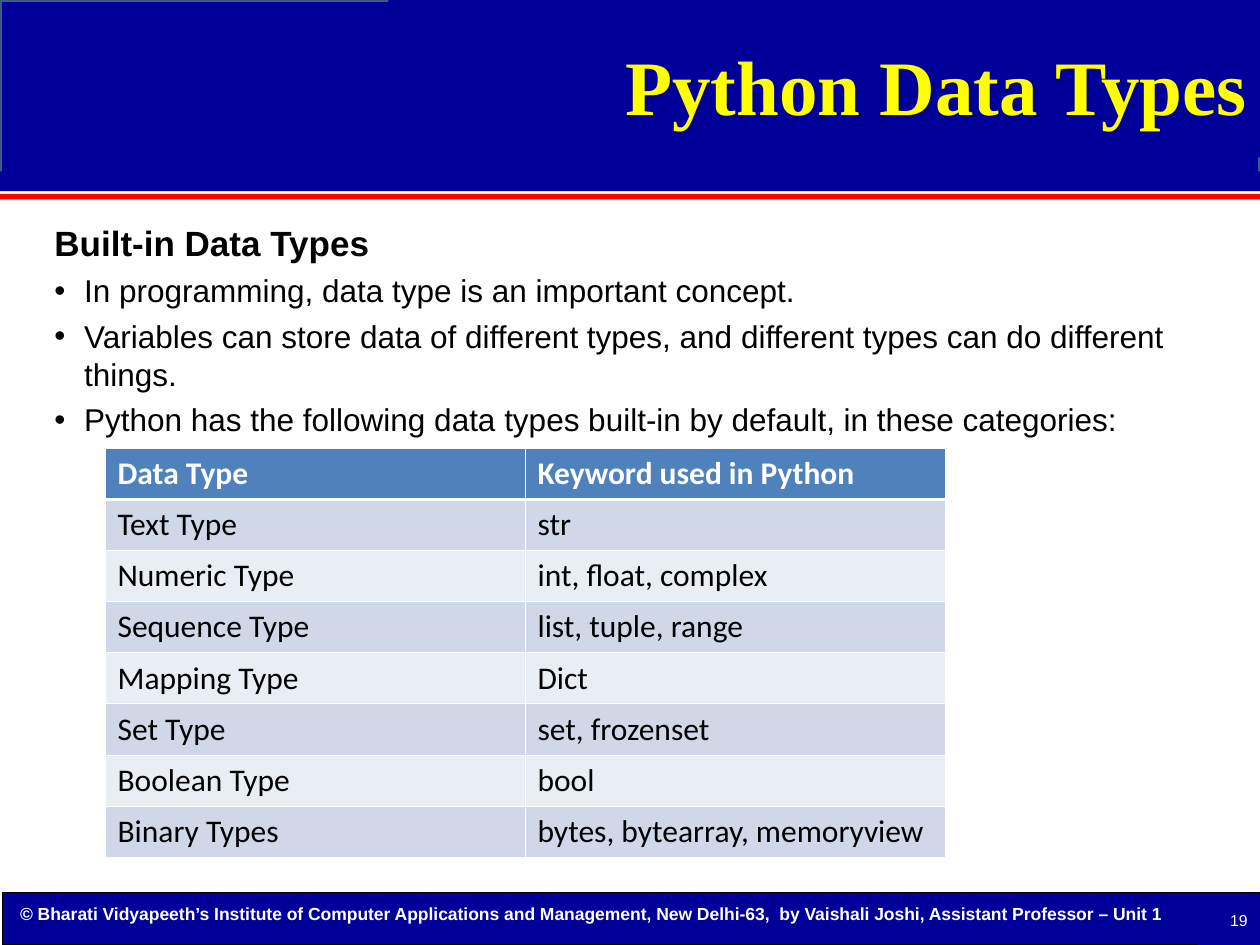
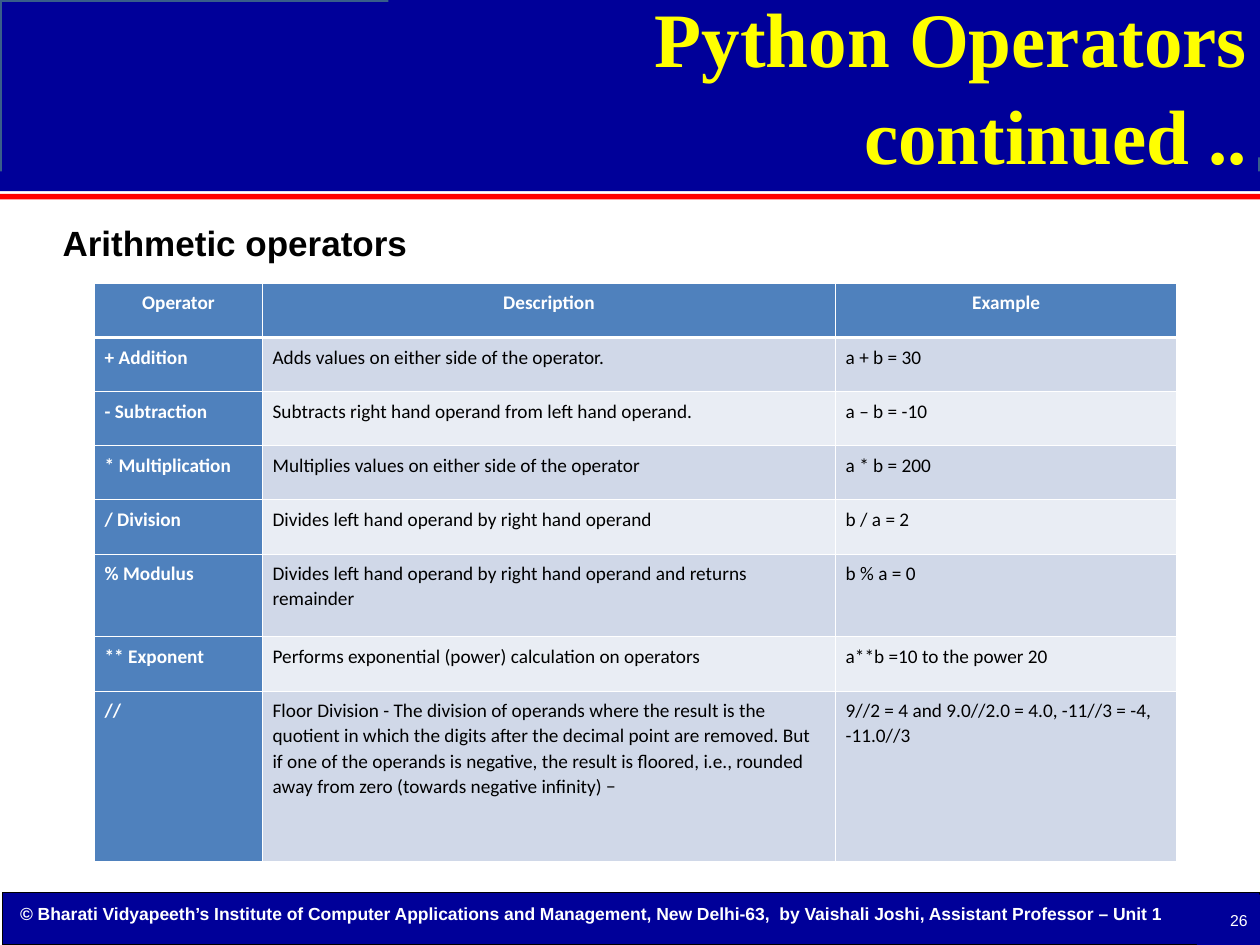
from pptx import Presentation
from pptx.dml.color import RGBColor
from pptx.enum.shapes import MSO_SHAPE
from pptx.enum.text import MSO_ANCHOR, PP_ALIGN
from pptx.oxml.ns import qn
from pptx.util import Pt
from lxml.etree import SubElement

NAVY, RED, YELLOW = "000099", "FF0000", "FFFF00"
WHITE, BLACK, EDGE = "FFFFFF", "000000", "385D8A"
HEAD, BANDS = "4F81BD", ("D0D8E8", "E9EDF4")
CREDIT = ("© Bharati Vidyapeeth’s Institute of Computer Applications and Management, "
          "New Delhi-63,  by Vaishali Joshi, Assistant Professor – Unit 1")

TYPES = [
    ("Data Type", "Keyword used in Python"),
    ("Text Type", "str"),
    ("Numeric Type", "int, float, complex"),
    ("Sequence Type", "list, tuple, range"),
    ("Mapping Type", "Dict"),
    ("Set Type", "set, frozenset"),
    ("Boolean Type", "bool"),
    ("Binary Types", "bytes, bytearray, memoryview"),
]
MATHS = [
    ("Operator", "Description", "Example"),
    ("+ Addition", "Adds values on either side of the operator.", "a + b = 30"),
    ("- Subtraction", "Subtracts right hand operand from left hand operand.", "a – b = -10"),
    ("* Multiplication", "Multiplies values on either side of the operator", "a * b = 200"),
    ("/ Division", "Divides left hand operand by right hand operand", "b / a = 2"),
    ("% Modulus", "Divides left hand operand by right hand operand and returns remainder",
     "b % a = 0"),
    ("** Exponent", "Performs exponential (power) calculation on operators",
     "a**b =10 to the power 20"),
    ("//", "Floor Division - The division of operands where the result is the quotient in "
     "which the digits after the decimal point are removed. But if one of the operands is "
     "negative, the result is floored, i.e., rounded away from zero (towards negative "
     "infinity) −", "9//2 = 4 and 9.0//2.0 = 4.0, -11//3 = -4, -11.0//3"),
]


def tint(code):
    return RGBColor.from_string(code)


class Deck:
    def __init__(self):
        self.prs = Presentation()
        self.prs.slide_width, self.prs.slide_height = Pt(720), Pt(540)
        self.slide = None

    def page(self, title, number):
        self.slide = self.prs.slides.add_slide(self.prs.slide_layouts[6])
        self.rect(1.3, 510, 718.7, 30, NAVY, BLACK, 0.75)
        foot = self.box(0, 511.9, 678, 19.5, MSO_ANCHOR.BOTTOM, left=11.5)
        self.style(foot.paragraphs[0], CREDIT, 10, WHITE, True)
        self.rect(0, 0, 720, 102, NAVY, EDGE, 2)
        self.rect(0, 98, 720, 11.3, NAVY)
        self.rect(0, 110.8, 720, 3.2, RED)
        self.label(222, 0, 498, 90, title, 44, YELLOW, True, "Times New Roman", 1.05, 8)
        self.label(684, 511.2, 36, 28.8, number, 9, WHITE)

    def rect(self, x, y, w, h, fill, edge=None, width=0):
        shape = self.slide.shapes.add_shape(MSO_SHAPE.RECTANGLE, Pt(x), Pt(y), Pt(w), Pt(h))
        shape.shadow.inherit = False
        shape.fill.solid()
        shape.fill.fore_color.rgb = tint(fill)
        if edge:
            shape.line.color.rgb = tint(edge)
            shape.line.width = Pt(width)
        else:
            shape.line.fill.background()
        return shape

    def label(self, x, y, w, h, text, size, color, bold=False, face="Arial", gap=1, top=3.6):
        frame = self.rect(x, y, w, h, NAVY).text_frame
        frame.word_wrap = True
        frame.vertical_anchor = MSO_ANCHOR.MIDDLE
        frame.margin_top = Pt(top)
        para = frame.paragraphs[0]
        self.style(para, text, size, color, bold, face)
        para.alignment = PP_ALIGN.RIGHT
        para.line_spacing = gap

    def box(self, x, y, w, h, anchor=MSO_ANCHOR.TOP, left=7.2, top=3.6):
        frame = self.slide.shapes.add_textbox(Pt(x), Pt(y), Pt(w), Pt(h)).text_frame
        frame.word_wrap = True
        frame.vertical_anchor = anchor
        frame.margin_left, frame.margin_top = Pt(left), Pt(top)
        return frame

    def style(self, para, text, size, color, bold=False, face="Arial"):
        para.text = text
        for run in para.runs:
            font = run.font
            font.size, font.bold, font.name = Pt(size), bold, face
            font.color.rgb = tint(color)

    def body(self, head, points=(), left=7.2):
        frame = self.box(24, 120, 672, 372, left=left, top=6.5)
        self.style(frame.paragraphs[0], head, 20, BLACK, True)
        for point in points:
            para = frame.add_paragraph()
            props = para._p.get_or_add_pPr()
            props.set("marL", str(Pt(17)))
            props.set("indent", str(-Pt(17)))
            SubElement(props, qn("a:buFont"), typeface="Arial")
            SubElement(props, qn("a:buChar"), char="•")
            para.space_before = Pt(4.5)
            self.style(para, point, 18, BLACK)

    def border(self, cell, row):
        props = cell._tc.get_or_add_tcPr()
        thick = {0: "lnB", 1: "lnT"}.get(row)
        for side in ("lnL", "lnR", "lnT", "lnB"):
            width = Pt(1.47 if side == thick else 0.45)
            line = SubElement(props, qn(f"a:{side}"), w=str(width))
            SubElement(SubElement(line, qn("a:solidFill")), qn("a:srgbClr"), val=WHITE)

    def table(self, x, y, cols, rows, data, size, pad, side=False, gap=1, align=PP_ALIGN.LEFT):
        grid = self.slide.shapes.add_table(len(rows), len(cols), Pt(x), Pt(y),
                                           Pt(sum(cols)), Pt(sum(rows))).table
        grid.first_row = grid.horz_banding = False
        for col, width in zip(grid.columns, cols):
            col.width = Pt(width)
        for r, (height, texts) in enumerate(zip(rows, data)):
            grid.rows[r].height = Pt(height)
            for c, text in enumerate(texts):
                cell = grid.cell(r, c)
                head = r == 0 or (side and c == 0)
                self.border(cell, r)
                cell.fill.solid()
                cell.fill.fore_color.rgb = tint(HEAD if head else BANDS[(r - 1) % 2])
                cell.margin_left = cell.margin_right = Pt(pad)
                para = cell.text_frame.paragraphs[0]
                self.style(para, text, size, WHITE if head else BLACK, head, "Calibri")
                para.line_spacing = gap
                para.alignment = align if r == 0 else PP_ALIGN.LEFT


def main():
    deck = Deck()
    deck.page("Python Data Types", "19")
    deck.body("Built-in Data Types", [
        "In programming, data type is an important concept.",
        "Variables can store data of different types, and different types can do different things.",
        "Python has the following data types built-in by default, in these categories:",
    ])
    deck.table(60, 256.2, [240] * 2, [29.2] * 8, TYPES, 18, 7.2)

    deck.page("Python Operators continued ..", "26")
    deck.body("Arithmetic operators", left=11.7)
    deck.table(54, 162, [96, 327.5, 195], [30.9] * 5 + [47.4, 30.9, 97.2], MATHS, 11, 5.8,
               side=True, gap=1.07, align=PP_ALIGN.CENTER)
    deck.prs.save("out.pptx")


if __name__ == "__main__":
    main()
